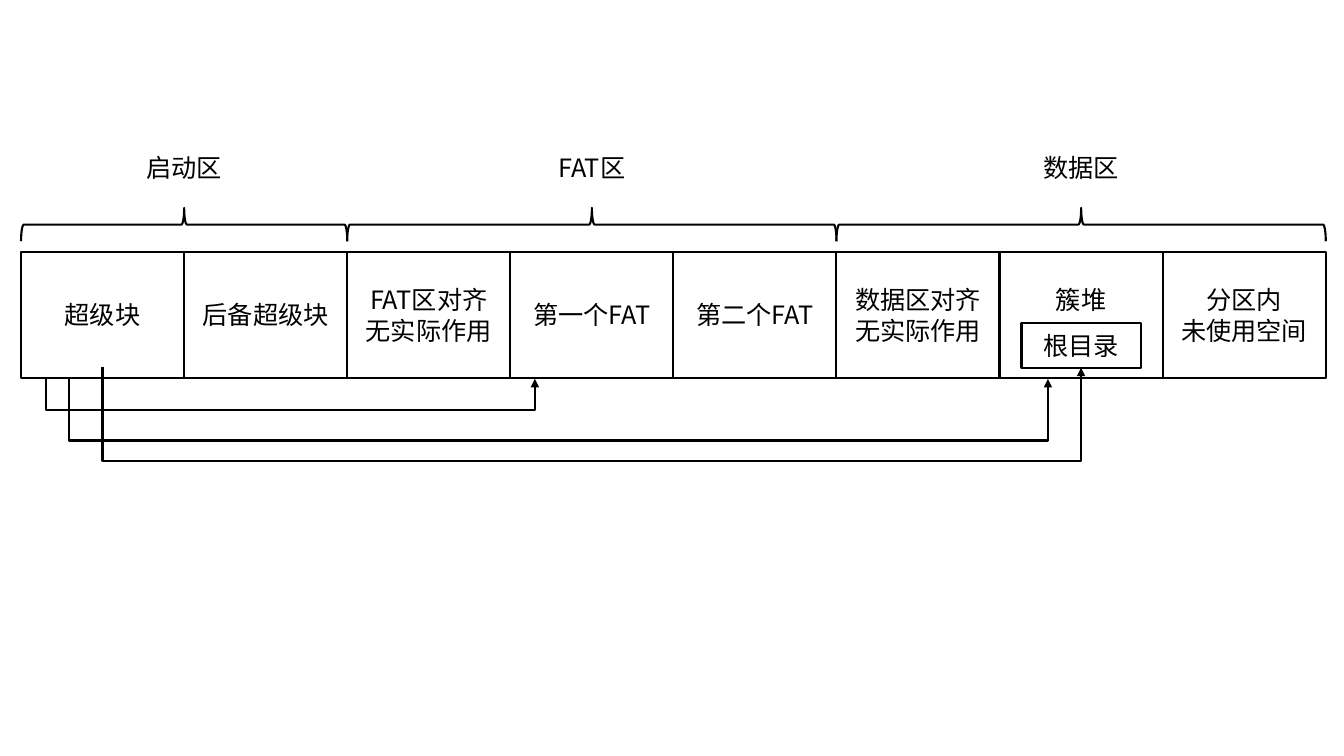
from lxml import etree
from pptx import Presentation
from pptx import util as u
from pptx.dml.color import RGBColor
from pptx.enum import shapes, text
from pptx.oxml import ns

COLOURS = {"ink": "000000", "paper": "FFFFFF"}
FONT = "Noto Sans CJK SC"
TEXT_FORMAT = {"name": FONT, "size": u.Pt(18), "bold": False}
FRAME_FORMAT = {"word_wrap": True, "vertical_anchor": text.MSO_ANCHOR.MIDDLE}
CELL = 4.11
BAR = {"left": 0.53, "top": 6.35, "height": 3.17}
ROOT = {"width": 3.0, "height": 1.14, "top": 1.78}
BRACE = {"height": 0.84, "top": -1.11}
LABEL = {"width": 2.84, "height": 1.02, "top": -2.64}
DROP = 0.03

REGIONS = [
    ("启动区", ["超级块", "后备超级块"]),
    ("FAT区", ["FAT区对齐\n无实际作用", "第一个FAT", "第二个FAT"]),
    ("数据区", ["数据区对齐\n无实际作用", "簇堆", "分区内\n未使用空间"]),
]
HEAP = 6
POINTERS = [
    (0.62, BAR["height"], 3, 0.82),
    (1.22, BAR["height"], 6, 1.58),
    (CELL / 2, ROOT["top"] + ROOT["height"] - DROP, 6, 2.09),
]


def apply_format(target, values):
    for name, value in values.items():
        setattr(target, name, value)


def colour(name):
    return RGBColor.from_string(COLOURS[name])


def draw_line(line):
    line.color.rgb = colour("ink")
    line.width = u.Pt(1.5)


def write_text(frame, wording):
    for index, words in enumerate(wording.split("\n")):
        para = frame.paragraphs[0] if index == 0 else frame.add_paragraph()
        para.alignment = text.PP_ALIGN.CENTER
        span = para.add_run()
        span.text = words
        apply_format(span.font, TEXT_FORMAT)
        span.font.color.rgb = colour("ink")
        latin = span.font._element.find(ns.qn("a:latin"))
        east_asian = etree.Element(ns.qn("a:ea"), typeface=FONT)
        latin.addnext(east_asian)


def add_outline(page, kind, left, top, width, height):
    shape = page.shapes.add_shape(kind, *map(u.Cm, (left, top, width, height)))
    shape.shadow.inherit = False
    shape.fill.solid()
    shape.fill.fore_color.rgb = colour("paper")
    draw_line(shape.line)
    return shape


def add_block(page, left, top, width, height, wording):
    block = add_outline(page, shapes.MSO_SHAPE.RECTANGLE, left, top, width, height)
    apply_format(block.text_frame, FRAME_FORMAT)
    write_text(block.text_frame, wording)
    return block


def add_blocks(page, left, top, height):
    blocks = [wording for _, region in REGIONS for wording in region]
    for index, wording in enumerate(blocks):
        block = add_block(page, left + index * CELL, top, CELL, height, wording)
        if index == HEAP:
            block.text_frame.margin_bottom = u.Cm(0.91)
    root_left = left + (HEAP + 0.5) * CELL - ROOT["width"] / 2
    add_block(page, root_left, top + ROOT["top"], ROOT["width"], ROOT["height"], "根目录")


def add_region_heading(page, left, top, width, wording):
    middle = left + width / 2
    brace_middle = top + BRACE["top"] + BRACE["height"] / 2
    brace = add_outline(page, shapes.MSO_SHAPE.LEFT_BRACE, middle - BRACE["height"] / 2,
                        brace_middle - width / 2, BRACE["height"], width)
    brace.rotation = 90
    label = page.shapes.add_textbox(u.Cm(middle - LABEL["width"] / 2), u.Cm(top + LABEL["top"]),
                                    u.Cm(LABEL["width"]), u.Cm(LABEL["height"]))
    label.text_frame.word_wrap = True
    write_text(label.text_frame, wording)


def add_pointer(page, left, top, width, bend):
    box_left = left + width / 2 - DROP / 2
    box_top = top + DROP / 2 - width / 2
    pointer = page.shapes.add_connector(
        shapes.MSO_CONNECTOR.ELBOW,
        *map(u.Cm, (box_left, box_top, box_left + DROP, box_top + width)))
    draw_line(pointer.line)
    properties = pointer._element.spPr
    turn = properties.find(ns.qn("a:xfrm"))
    turn.set("rot", "16200000")
    turn.set("flipH", "1")
    guides = properties.find(ns.qn("a:prstGeom")).find(ns.qn("a:avLst"))
    etree.SubElement(guides, ns.qn("a:gd"), name="adj1", fmla=f"val {round(bend / DROP * 100000)}")
    etree.SubElement(properties.find(ns.qn("a:ln")), ns.qn("a:tailEnd"), type="triangle")
    etree.SubElement(properties, ns.qn("a:effectLst"))


def build_partition(page, left, top, height):
    add_blocks(page, left, top, height)
    region_left = left
    for heading, blocks in REGIONS:
        width = len(blocks) * CELL
        add_region_heading(page, region_left, top, width, heading)
        region_left += width
    for start, offset, cells, depth in POINTERS:
        add_pointer(page, left + start, top + offset, cells * CELL, height + depth - offset)


def main():
    deck = Presentation()
    deck.slide_width, deck.slide_height = u.Cm(33.87), u.Cm(19.05)
    page = deck.slides.add_slide(deck.slide_layouts[6])
    build_partition(page, **BAR)
    deck.save("out.pptx")


if __name__ == "__main__":
    main()
